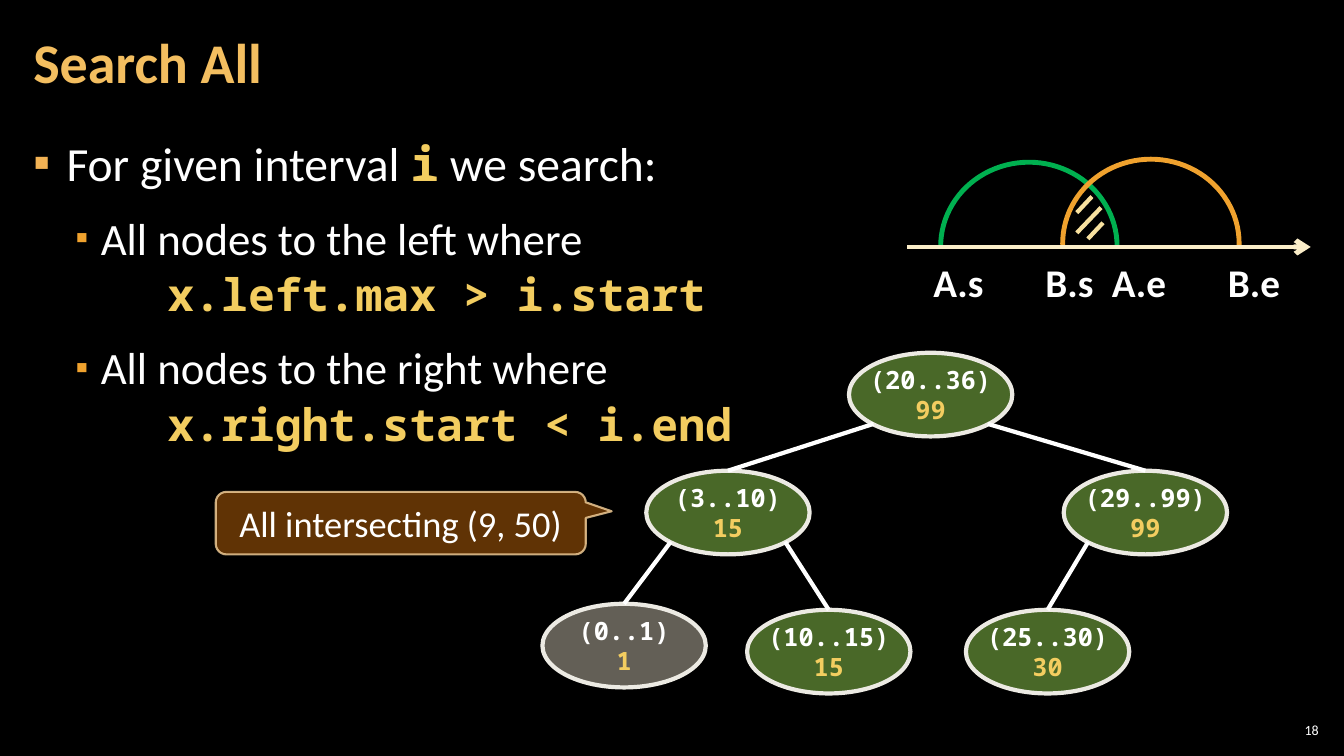
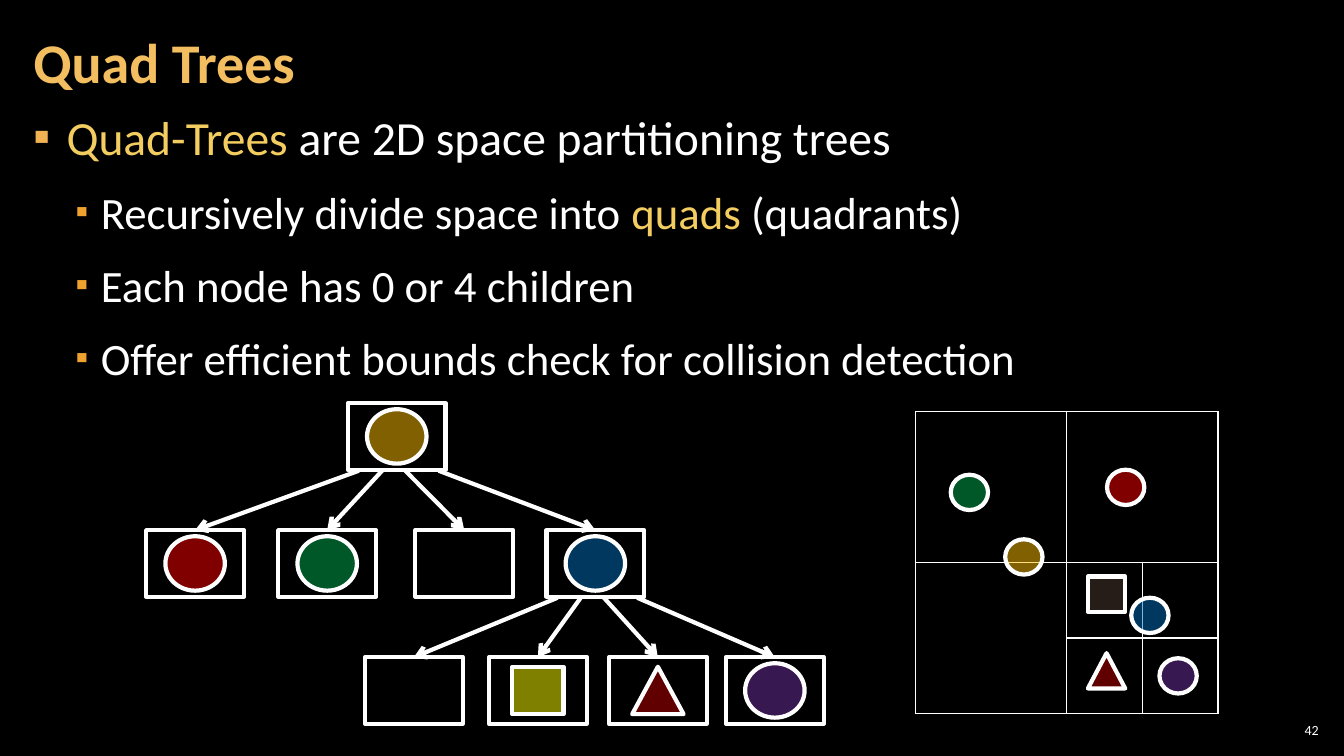
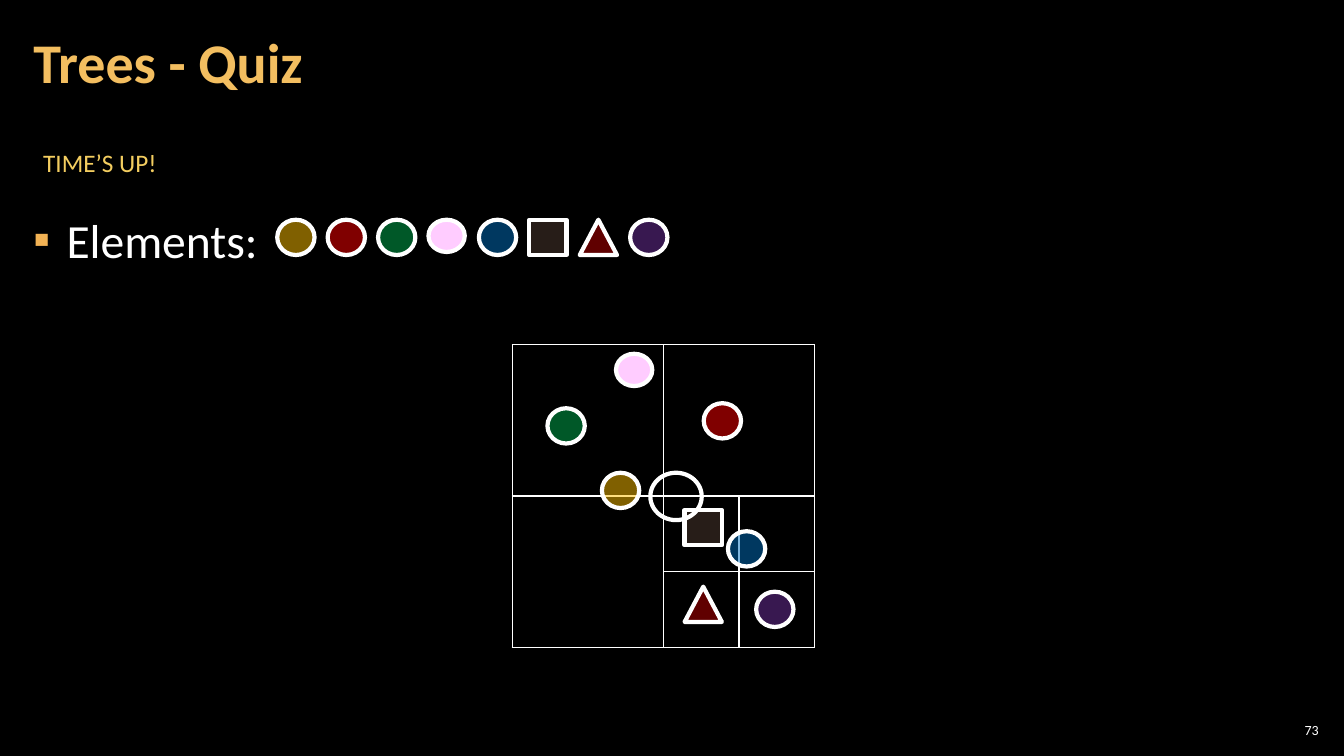
from lxml import etree
from pptx import Presentation
from pptx import util as u
from pptx.dml.color import RGBColor
from pptx.enum import shapes, text
from pptx.oxml import ns

PX = 9144
SANS, MONO = "Calibri", "Noto Sans Mono"
BLACK = RGBColor(0x00, 0x00, 0x00)
WHITE = RGBColor(0xFF, 0xFF, 0xFF)
TITLE = RGBColor(0xF3, 0xBE, 0x60)
ACCENT = RGBColor(0xF3, 0xCD, 0x60)
BULLET = RGBColor(0xF2, 0xB2, 0x54)
ORANGE = RGBColor(0xF0, 0xA2, 0x2E)
GREEN = RGBColor(0x00, 0xB0, 0x50)
RED = RGBColor(0xFF, 0x00, 0x00)
GOLD = RGBColor(0xFF, 0xC0, 0x00)
BLUE = RGBColor(0x00, 0x70, 0xC0)
VIOLET = RGBColor(0x70, 0x30, 0xA0)
CRIMSON = RGBColor(0xC0, 0x00, 0x00)
YELLOW = RGBColor(0xFF, 0xFF, 0x00)
BROWN = RGBColor(0x4E, 0x3B, 0x30)
PINK = RGBColor(0xFF, 0xCC, 0xFF)
AXIS = RGBColor(0xFB, 0xEE, 0xC9)
HATCH = RGBColor(0xF8, 0xE1, 0x9F)
LIME = RGBColor(0x92, 0xD0, 0x50)
STONE = RGBColor(0xC7, 0xBF, 0xAC)
NODE_EDGE = RGBColor(0xEC, 0xEA, 0xE3)
CALLOUT = RGBColor(0x66, 0x36, 0x06)
CALLOUT_EDGE = RGBColor(0xF8, 0xD4, 0x9E)

GEO = shapes.MSO_SHAPE
OVAL, RECT, TRIANGLE = GEO.OVAL, GEO.RECTANGLE, GEO.ISOSCELES_TRIANGLE
CODE = dict(font=MONO, color=ACCENT, bold=True)

BOARD_TOKENS = [
    (35, 63, OVAL, GREEN), (190, 58, OVAL, RED), (89, 127, OVAL, GOLD),
    (214, 185, OVAL, BLUE), (242, 245, OVAL, VIOLET),
    (171, 240, TRIANGLE, CRIMSON), (171, 164, RECT, BROWN),
]


def add_xml(parent, tag, **attributes):
    element = etree.SubElement(parent, ns.qn(tag))
    for name, value in attributes.items():
        element.set(name, str(value))
    return element


def set_alpha(owner, percent):
    if percent < 100:
        color = owner.find(ns.qn("a:solidFill"))[0]
        add_xml(color, "a:alpha", val=percent * 1000)


def write(paragraph, words, size=18, font=SANS, color=WHITE, bold=False, align=None):
    run = paragraph.add_run()
    run.text = words
    run.font.size = u.Pt(size)
    run.font.name = font
    run.font.color.rgb = color
    run.font.bold = bold
    if align is not None:
        paragraph.alignment = align


class Deck:
    def __init__(self):
        self.prs = Presentation()
        self.prs.slide_width, self.prs.slide_height = 1333 * PX, 750 * PX
        backdrop = self.prs.slide_master.background.fill
        backdrop.solid()
        backdrop.fore_color.rgb = BLACK
        self.slide = None

    def start(self, title, number):
        self.slide = self.prs.slides.add_slide(self.prs.slide_layouts[1])
        frame = self.place(self.slide.shapes.title, 21, 4, 1047, 121)
        frame.vertical_anchor = text.MSO_ANCHOR.MIDDLE
        heading = frame.paragraphs[0]
        heading.line_spacing = 0.9
        write(heading, title, size=40, color=TITLE, bold=True, align=text.PP_ALIGN.LEFT)
        self.label(1265, 714, 47, 21, number, inset=4, wrap=True, size=10,
                   align=text.PP_ALIGN.RIGHT)

    def place(self, holder, x, y, w, h):
        holder.left, holder.top, holder.width, holder.height = (v * PX for v in (x, y, w, h))
        frame = holder.text_frame
        frame.auto_size = text.MSO_AUTO_SIZE.NONE
        frame.margin_left = frame.margin_right = 12 * PX
        frame.margin_top = frame.margin_bottom = 4 * PX
        return frame

    def body(self, top, items):
        frame = self.place(self.slide.placeholders[1], 21, top, 1291, 735 - top)
        frame.vertical_anchor = text.MSO_ANCHOR.TOP
        for i, (kind, runs) in enumerate(items):
            paragraph = frame.add_paragraph() if i else frame.paragraphs[0]
            self.list_style(paragraph, kind)
            for words, style in runs:
                write(paragraph, words, size=34 if kind == "main" else 32, **style)

    def list_style(self, paragraph, kind):
        paragraph.level = 0 if kind == "main" else 1
        paragraph.alignment = text.PP_ALIGN.LEFT
        paragraph.line_spacing = 1.05
        paragraph.space_before = u.Pt(0 if kind == "code" else 6)
        paragraph.space_after = u.Pt(0 if kind == "lead" else 6)
        margin, hang, color, percent = {
            "main": (33, 33, BULLET, 100), "code": (133, 0, None, 0),
        }.get(kind, (67, 25, ORANGE, 80))
        props = paragraph._p.get_or_add_pPr()
        props.set("marL", str(margin * PX))
        props.set("indent", str(-hang * PX))
        if color is None:
            add_xml(props, "a:buNone")
            return
        add_xml(add_xml(props, "a:buClr"), "a:srgbClr", val=color)
        add_xml(props, "a:buSzPct", val=percent * 1000)
        add_xml(props, "a:buFont", typeface=SANS)
        add_xml(props, "a:buChar", char="▪")

    def label(self, x, y, w, h, words, inset=None, wrap=False, **style):
        box = self.slide.shapes.add_textbox(x * PX, y * PX, w * PX, h * PX)
        frame = box.text_frame
        frame.word_wrap = wrap
        if inset is not None:
            frame.margin_left = frame.margin_right = inset * PX
            frame.margin_top = frame.margin_bottom = inset * PX
            frame.vertical_anchor = text.MSO_ANCHOR.MIDDLE
        write(frame.paragraphs[0], words, **style)

    def shape(self, geometry, x, y, w, h, fill=None, alpha=50, edge=WHITE,
              weight=3, edge_alpha=100, adjust=()):
        shape = self.slide.shapes.add_shape(geometry, *(round(v * PX) for v in (x, y, w, h)))
        shape.shadow.inherit = False
        for i, value in enumerate(adjust):
            shape.adjustments[i] = value
        if fill is None:
            shape.fill.background()
        else:
            shape.fill.solid()
            shape.fill.fore_color.rgb = fill
            set_alpha(shape.element.spPr, alpha)
        shape.line.color.rgb = edge
        shape.line.width = u.Pt(weight)
        set_alpha(shape.get_or_add_ln(), edge_alpha)
        return shape

    def caption(self, shape, lines, wrap=False, **style):
        frame = shape.text_frame
        frame.word_wrap = wrap
        frame.vertical_anchor = text.MSO_ANCHOR.MIDDLE
        for i, (words, color) in enumerate(lines):
            paragraph = frame.add_paragraph() if i else frame.paragraphs[0]
            write(paragraph, words, color=color, align=text.PP_ALIGN.CENTER, **style)

    def line(self, x1, y1, x2, y2, color=WHITE, weight=3, arrow=False):
        line = self.slide.shapes.add_connector(
            shapes.MSO_CONNECTOR.STRAIGHT, *(round(v * PX) for v in (x1, y1, x2, y2)))
        line.line.color.rgb = color
        line.line.width = u.Pt(weight)
        if arrow:
            add_xml(line.get_or_add_ln(), "a:tailEnd", type="arrow")
        add_xml(line._element.spPr, "a:effectLst")
        return line

    def node(self, x, y, interval, maximum, fill=LIME):
        node = self.shape(OVAL, x, y, 162, 83, fill, edge=NODE_EDGE)
        self.caption(node, [(interval, WHITE), (maximum, ACCENT)], font=MONO, bold=True)
        return node

    def branch(self, parent, child, side):
        reach = 0.35
        x = parent.left + parent.width * (0.5 + side * reach)
        y = parent.top + parent.height * (0.5 + reach)
        edge = self.line(x / PX, y / PX, x / PX, y / PX)
        edge.end_connect(child, 0)

    def box(self, x, y, geometry=None, fill=None):
        self.shape(RECT, x, y, 97, 66)
        if geometry:
            w, h = (59, 54) if geometry == OVAL else (51, 47)
            self.shape(geometry, x + (97 - w) / 2, y + (66 - h) / 2, w, h, fill)

    def family(self, x, y, children):
        child_y = y + 126
        for start, (child_x, *icon) in zip((11, 34, 57, 90), children):
            self.line(x + start, y + 67, child_x + 48.5, child_y, arrow=True)
            self.box(child_x, child_y, *icon)

    def token(self, x, y, geometry, fill):
        if fill == PINK:
            self.shape(geometry, x, y, 36, 32, fill, alpha=100)
        else:
            self.shape(geometry, x, y, 37, 35, fill)

    def board(self, x, y):
        sizes = (150, 75, 75)
        table = self.slide.shapes.add_table(3, 3, x * PX, y * PX, 300 * PX, 300 * PX).table
        table.first_row = table.horz_banding = False
        for i, size in enumerate(sizes):
            table.columns[i].width = table.rows[i].height = size * PX
        for cell in table.iter_cells():
            props = cell._tc.get_or_add_tcPr()
            for side in ("a:lnL", "a:lnR", "a:lnT", "a:lnB"):
                border = add_xml(props, side, w=u.Pt(1))
                add_xml(add_xml(border, "a:solidFill"), "a:srgbClr", val=WHITE)
            cell.fill.background()
        table.cell(0, 1).merge(table.cell(0, 2))
        table.cell(1, 0).merge(table.cell(2, 0))
        for dx, dy, geometry, fill in BOARD_TOKENS:
            self.token(x + dx, y + dy, geometry, fill)


def search_all(deck):
    deck.start("Search All", "18")
    deck.body(126, [
        ("main", [("For given interval ", {}), ("i", CODE), (" we search:", {})]),
        ("lead", [("All nodes to the left where", {})]),
        ("code", [("x.left.max > i.start", CODE)]),
        ("lead", [("All nodes to the right where", {})]),
        ("code", [("x.right.start < i.end", CODE)]),
    ])
    for x, y, color, end in ((933, 161, GREEN, 0), (1054, 158, ORANGE, 1.59)):
        deck.shape(GEO.ARC, x, y, 175, 167, edge=color, weight=3.5, adjust=(107.15, end))
    deck.line(900, 245, 1300, 245, AXIS, 3.5, arrow=True)
    for x, bound in ((916, "A.s"), (1027, "B.s"), (1093, "A.e"), (1208, "B.e")):
        deck.label(x, 251, 75, 57, bound, size=28, bold=True)
    for hatch in ((1083, 195, 1068, 211), (1092, 206, 1068, 231), (1094, 221, 1079, 237)):
        deck.line(*hatch, HATCH)

    root = deck.node(842, 350, "(20..36)", "99")
    right = deck.node(1055, 467, "(29..99)", "99")
    left = deck.node(641, 467, "(3..10)", "15")
    left_low = deck.node(538, 599, "(0..1)", "1", STONE)
    left_high = deck.node(741, 605, "(10..15)", "15")
    right_low = deck.node(958, 605, "(25..30)", "30")
    for parent, child, side in ((root, left, -1), (root, right, 1), (left, left_low, -1),
                                (left, left_high, 1), (right, right_low, -1)):
        deck.branch(parent, child, side)

    query = deck.shape(GEO.ROUNDED_RECTANGULAR_CALLOUT, 214, 488, 367, 62, CALLOUT, 95,
                       CALLOUT_EDGE, 1.5, 80, (0.57, -0.19, 0.17))
    deck.caption(query, [("All intersecting (9, 50)", WHITE)], wrap=True, size=26)


def quad_trees(deck):
    deck.start("Quad Trees", "42")
    key = dict(color=ACCENT)
    deck.body(100, [
        ("main", [("Quad-Trees", key), (" are 2D space partitioning trees", {})]),
        ("sub", [("Recursively divide space into ", {}), ("quads", key), (" (quadrants)", {})]),
        ("sub", [("Each node has 0 or 4 children", {})]),
        ("sub", [("Offer efficient bounds check for collision detection", {})]),
    ])
    deck.box(345, 400, OVAL, GOLD)
    deck.family(345, 400, [(145, OVAL, RED), (276, OVAL, GREEN), (412,), (542, OVAL, BLUE)])
    deck.family(542, 526, [(362,), (485, RECT, YELLOW), (604, TRIANGLE, CRIMSON),
                           (720, OVAL, VIOLET)])
    deck.board(908, 408)


def quiz(deck):
    deck.start("Trees - Quiz", "73")
    deck.label(33, 141, 134, 40, "TIME’S UP!", color=ACCENT)
    deck.body(202, [("main", [("Elements:", {})])])
    deck.board(508, 342)
    deck.token(611, 351, OVAL, PINK)
    deck.shape(OVAL, 645, 469, 51, 47)
    elements = [(OVAL, GOLD), (OVAL, RED), (OVAL, GREEN), (OVAL, PINK), (OVAL, BLUE),
                (RECT, BROWN), (TRIANGLE, CRIMSON), (OVAL, VIOLET)]
    for i, (geometry, fill) in enumerate(elements):
        deck.token(275 + 50 * i, 218, geometry, fill)


def main():
    deck = Deck()
    search_all(deck)
    quad_trees(deck)
    quiz(deck)
    deck.prs.save("out.pptx")


if __name__ == "__main__":
    main()
